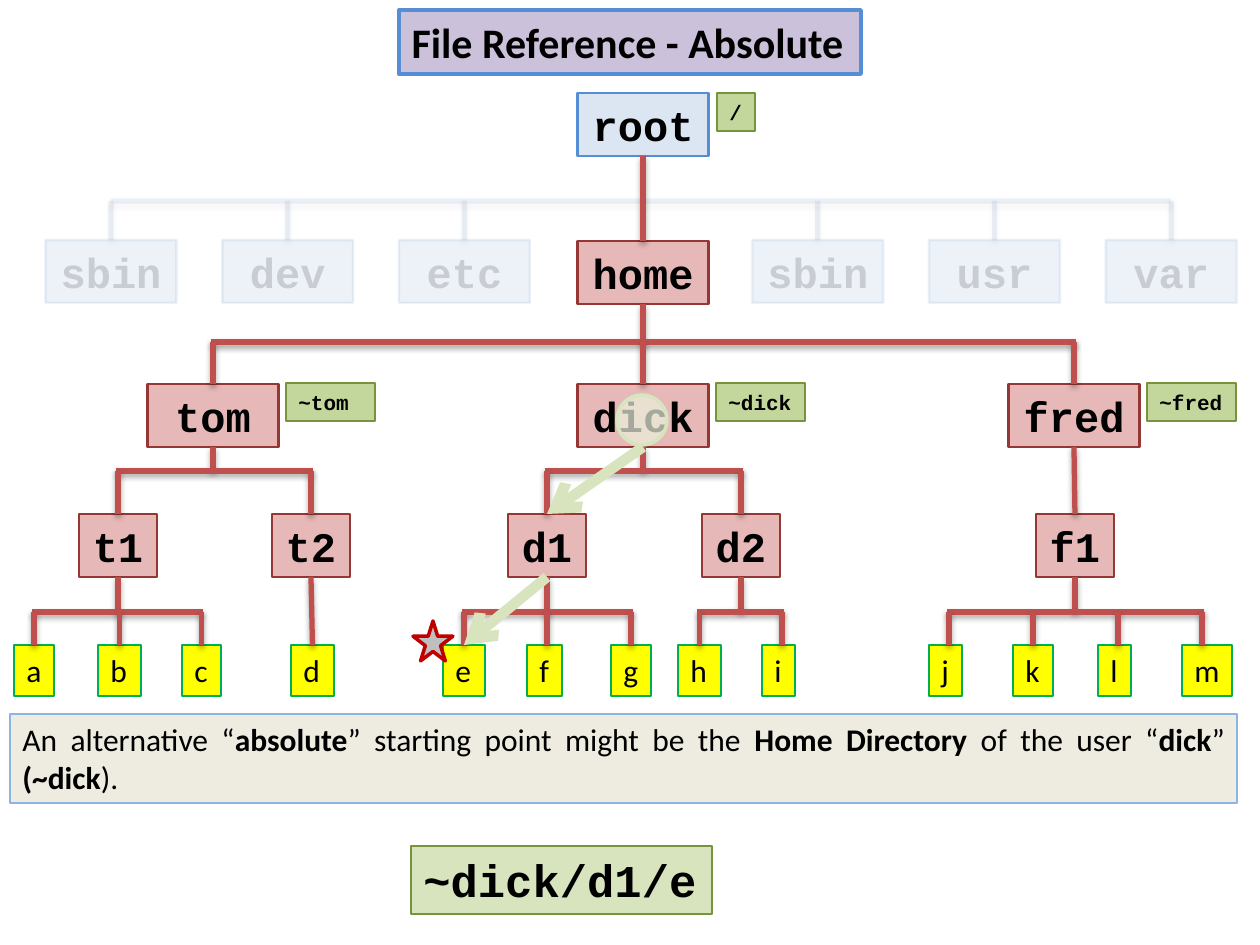
from lxml import etree
from pptx import Presentation
from pptx import util as u
from pptx.dml.color import RGBColor
from pptx.enum import shapes, text
from pptx.oxml import ns

BLACK = RGBColor(0x00, 0x00, 0x00)
BLUE = RGBColor(0x4F, 0x81, 0xBD)
SKY = RGBColor(0x55, 0x8E, 0xD5)
RED = RGBColor(0xC0, 0x50, 0x4D)
LEAF = RGBColor(0xD7, 0xE4, 0xBD)
# Box styles: fill, outline
ROOT = RGBColor(0xDC, 0xE6, 0xF2), SKY
NODE = RGBColor(0xE6, 0xB9, 0xB8), RGBColor(0x95, 0x37, 0x35)
PATH = RGBColor(0xC3, 0xD6, 0x9B), RGBColor(0x77, 0x93, 0x3C)
FILE = RGBColor(0xFF, 0xFF, 0x00), RGBColor(0x00, 0xB0, 0x50)
HEAD = RGBColor(0xCC, 0xC1, 0xDA), SKY
NOTE = RGBColor(0xEE, 0xEC, 0xE1), RGBColor(0x8E, 0xB4, 0xE3)
GOAL = LEAF, PATH[1]
SPOT = RGBColor(0xEB, 0xF1, 0xDE), LEAF
STAR = RGBColor(0xBF, 0xBF, 0xBF), RGBColor(0xC0, 0x00, 0x00)
DIM = BLUE, BLUE
MONO, SANS = "Courier New", "Calibri"
LEFT, MID, JUST = (text.PP_ALIGN.LEFT, text.PP_ALIGN.CENTER,
                   text.PP_ALIGN.JUSTIFY)

# Content: name, centre, top, width, style
NODES = [("root", 643, 93, 131, ROOT), ("home", 643, 241, 131, NODE),
         ("tom", 213, 384, 131, NODE), ("dick", 643, 384, 131, NODE),
         ("fred", 1074, 384, 131, NODE),
         ("t1", 118, 514, 78, NODE), ("t2", 311, 514, 78, NODE),
         ("d1", 547, 514, 78, NODE), ("d2", 741, 514, 78, NODE),
         ("f1", 1075, 514, 78, NODE)]
# Files: name, line position, box width
FILES = [("a", 34, 40), ("b", 118, 43), ("c", 202, 39), ("d", 311, 43),
         ("e", 463, 42), ("f", 547, 35), ("g", 631, 40), ("h", 698, 43),
         ("i", 782, 33), ("j", 949, 33), ("k", 1033, 40), ("l", 1118, 33),
         ("m", 1202, 50)]
# Branches: parent, height of the crossbar, children
TREE = [("root", 201, ["home"]), ("home", 342, ["tom", "dick", "fred"]),
        ("tom", 471, ["t1", "t2"]), ("dick", 471, ["d1", "d2"]),
        ("fred", 471, ["f1"]), ("t1", 612, "abc"), ("t2", 612, "d"),
        ("d1", 612, "efg"), ("d2", 612, "hi"), ("f1", 612, "jklm")]
TAGS = [("/", 717, 93, 38), ("~tom", 286, 383, 89),
        ("~dick", 716, 383, 89), ("~fred", 1147, 383, 89)]
FADED = [("sbin", 0), ("dev", 1), ("etc", 2), ("sbin", 4), ("usr", 5),
         ("var", 6)]
TITLE = "File Reference - Absolute"
BODY = [("An alternative “", False), ("absolute", True),
        ("” starting point might be the ", False), ("Home Directory", True),
        (" of the user “", False), ("dick", True), ("” ", False),
        ("(~dick", True), (").", False)]
ANSWER = "~dick/d1/e"


def px(n):
    return u.Emu(round(n * 914400 / 126))


def fade(item, pct):
    for clr in item.element.iter(ns.qn("a:srgbClr")):
        etree.SubElement(clr, ns.qn("a:alpha"), val=str(pct * 1000))


def paint(shape, style, width=1.5):
    shape.fill.solid()
    shape.fill.fore_color.rgb, shape.line.color.rgb = style
    shape.line.width = u.Pt(width)


def write(shape, words, size=24, font=MONO, bold=True, align=LEFT, wrap=True):
    frame = shape.text_frame
    frame.word_wrap = wrap
    frame.vertical_anchor = text.MSO_ANCHOR.TOP
    para = frame.paragraphs[0]
    para.alignment = align
    for word, heavy in [(words, bold)] if isinstance(words, str) else words:
        run = para.add_run()
        run.text = word
        run.font.name, run.font.size = font, u.Pt(size)
        run.font.bold, run.font.color.rgb = heavy, BLACK


def box(x, y, w, h, style, width=1.5, kind=shapes.MSO_SHAPE.RECTANGLE):
    shape = slide.shapes.add_shape(kind, px(x), px(y), px(w), px(h))
    shape.shadow.inherit = False
    paint(shape, style, width)
    return shape


def line(x1, y1, x2, y2, color=RED, width=3, start=None, end=None, pct=None,
         shadow=True, arrow=False):
    link = slide.shapes.add_connector(shapes.MSO_CONNECTOR.STRAIGHT,
                                      px(x1), px(y1), px(x2), px(y2))
    link.line.color.rgb, link.line.width = color, u.Pt(width)
    if start is not None:
        link.begin_connect(start, 2)
    if end is not None:
        link.end_connect(end, 0)
    if pct:
        fade(link, pct)
    if arrow:
        etree.SubElement(link.line._get_or_add_ln(), ns.qn("a:tailEnd"),
                         type="arrow")
    fx = etree.SubElement(link.element.spPr, ns.qn("a:effectLst"))
    if shadow:
        drop = etree.SubElement(fx, ns.qn("a:outerShdw"), blurRad="40000",
                                dist="23000", dir="5400000", rotWithShape="0")
        clr = etree.SubElement(drop, ns.qn("a:srgbClr"), val="000000")
        etree.SubElement(clr, ns.qn("a:alpha"), val="35000")


deck = Presentation()
deck.slide_width, deck.slide_height = px(1260), px(945)
slide = deck.slides.add_slide(deck.slide_layouts[5])

# Title
title = slide.shapes.title
title.left, title.top, title.width, title.height = map(px, (399, 10, 462, 64))
paint(title, HEAD, 2.25)
write(title, TITLE, font=SANS, wrap=False)

# Folders, files and path tags
parts, spots = {}, {}
for name, mid, top, wide, style in NODES:
    parts[name] = box(mid - wide / 2, top, wide, 63, style)
    write(parts[name], name, align=MID)
    spots[name] = mid, top
for name, x, wide in FILES:
    parts[name] = box(x - 20, 645, wide, 51, FILE)
    write(parts[name], name, size=18, font=SANS, bold=False)
    near = abs(wide / 2 - 20) < 2
    spots[name] = (x - 20 + wide / 2 if near else x), 645
for name, x, y, wide in TAGS:
    write(box(x, y, wide, 38, PATH), name, size=12)

# Faded folders, in a row of seven with the middle place left to home
for name, col in FADED:
    x = 111 + col * 176.7
    shape = box(x - 65.5, 240, 131, 63, DIM)
    write(shape, name, align=MID)
    fade(shape, 10)
    for clr in shape.text_frame._txBody.iter(ns.qn("a:alpha")):
        clr.set("val", "15000")
    line(x, 201, x, 240, BLUE, end=shape, pct=10)
line(1171, 201, 111, 201, BLUE, pct=10)

# Branches
for name, bar, kids in TREE:
    mid, top = spots[name]
    if len(kids) == 1:
        x, y = spots[kids[0]]
        line(mid, top + 63, x, y, start=parts[name], end=parts[kids[0]])
        continue
    line(mid, top + 63, mid, bar, start=parts[name])
    line(spots[kids[-1]][0] + 2, bar, spots[kids[0]][0] - 2, bar)
    for kid in kids:
        x, y = spots[kid]
        middle = kid not in "ghijklm" or kid == "h"
        line(x, bar, x, y, end=parts[kid] if middle and kid != "f" else None)

# Route from dick to e
spot = box(617, 395, 50, 50, SPOT, 2, shapes.MSO_SHAPE.OVAL)
fade(spot, 70)
for clr in spot.line._get_or_add_ln().iter(ns.qn("a:alpha")):
    clr.set("val", "100000")
for start, end in [("dick", "d1"), ("d1", "e")]:
    (x1, y1), (x2, y2) = spots[start], spots[end]
    line(x1, y1 + 63, x2, y2, LEAF, 6, parts[start], parts[end],
         shadow=False, arrow=True)
box(413, 621, 40, 40, STAR, 2, shapes.MSO_SHAPE.STAR_5_POINT)

# Explanation and resulting path
write(box(10, 714, 1227, 89, NOTE), BODY, size=18, font=SANS, align=JUST)
write(box(411, 846, 301, 68, GOAL), ANSWER, size=26)

deck.save("out.pptx")
